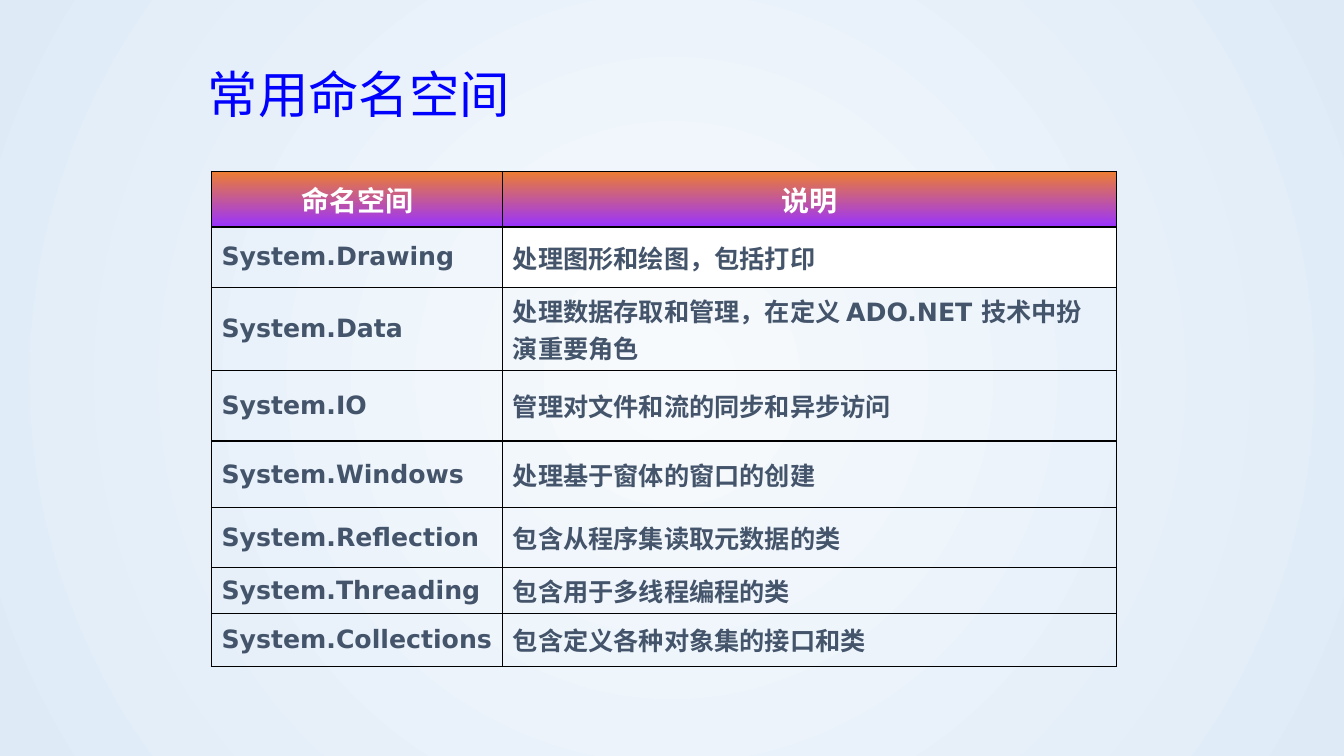
from pptx import Presentation
from pptx import util as u
from pptx.dml.color import RGBColor
from pptx.enum import text
from pptx.oxml import parse_xml
from pptx.oxml.ns import nsdecls, qn

BLUE, SLATE, WHITE, BLACK = "0000FF", "44546A", "FFFFFF", "000000"
BACKDROP = ("F7FAFD", "DEEBF7")
HEADER_FILL = ("ED7D31", "9933FF")

HEADINGS = ("命名空间", "说明")
NAMESPACES = [
    ("System.Drawing", "处理图形和绘图，包括打印"),
    ("System.Data", "处理数据存取和管理，在定义 ADO.NET 技术中扮演重要角色"),
    ("System.IO", "管理对文件和流的同步和异步访问"),
    ("System.Windows", "处理基于窗体的窗口的创建"),
    ("System.Reflection", "包含从程序集读取元数据的类"),
    ("System.Threading", "包含用于多线程编程的类"),
    ("System.Collections", "包含定义各种对象集的接口和类"),
]
COLUMN_WIDTHS = (7.34, 15.47)
ROW_HEIGHTS = (1.4, 1.52, 1.96, 1.78, 1.68, 1.5, 1.14, 1.32)


def color(hex_string):
    return RGBColor.from_string(hex_string)


class SlideBuilder:
    title_font = "Arial"
    table_font = "DejaVu Sans"

    def __init__(self, page):
        self.page = page

    def gradient(self, fill, colors, angle=270):
        fill.gradient()
        fill.gradient_angle = angle
        for stop, hex_string in zip(fill.gradient_stops, colors):
            stop.color.rgb = color(hex_string)

    def background(self, colors):
        self.gradient(self.page.background.fill, colors)
        linear = next(self.page.element.iter(qn("a:lin")))
        radial = parse_xml(
            f'<a:path {nsdecls("a")} path="circle">'
            '<a:fillToRect l="50000" t="50000" r="50000" b="50000"/></a:path>')
        linear.getparent().replace(linear, radial)

    def style(self, para, font, size, hex_string, bold=False):
        para.font.name = font
        para.font.size = u.Pt(size)
        para.font.bold = bold
        para.font.color.rgb = color(hex_string)

    def title(self, words, left, top, width, height):
        box = self.page.shapes.title
        box.left, box.top = u.Cm(left), u.Cm(top)
        box.width, box.height = u.Cm(width), u.Cm(height)
        frame = box.text_frame
        frame.text = words
        frame.auto_size = text.MSO_AUTO_SIZE.NONE
        frame.vertical_anchor = text.MSO_ANCHOR.MIDDLE
        para = frame.paragraphs[0]
        para.alignment = text.PP_ALIGN.LEFT
        para.line_spacing = 0.9
        self.style(para, self.title_font, 36, BLUE)

    def borders(self, cell):
        properties = cell._tc.get_or_add_tcPr()
        for index, side in enumerate("LRTB"):
            properties.insert(index, parse_xml(
                f'<a:ln{side} {nsdecls("a")} w="{u.Pt(1)}"><a:solidFill>'
                f'<a:srgbClr val="{BLACK}"/></a:solidFill></a:ln{side}>'))

    def cell(self, cell, words, header):
        cell.text = words
        cell.vertical_anchor = text.MSO_ANCHOR.MIDDLE
        para = cell.text_frame.paragraphs[0]
        if header:
            para.alignment = text.PP_ALIGN.CENTER
            self.style(para, self.table_font, 20, WHITE, bold=True)
            self.gradient(cell.fill, HEADER_FILL)
        else:
            self.style(para, self.table_font, 18, SLATE, bold=True)
            cell.fill.background()
        self.borders(cell)

    def table(self, rows, left, top, widths, heights):
        table = self.page.shapes.add_table(
            len(rows), len(widths), u.Cm(left), u.Cm(top),
            u.Cm(sum(widths)), u.Cm(sum(heights))).table
        table.horz_banding = False
        for column, width in zip(table.columns, widths):
            column.width = u.Cm(width)
        for r, (entries, height) in enumerate(zip(rows, heights)):
            table.rows[r].height = u.Cm(height)
            for c, words in enumerate(entries):
                self.cell(table.cell(r, c), words, header=r == 0)
        return table


def main():
    deck = Presentation()
    deck.slide_width, deck.slide_height = u.Cm(33.87), u.Cm(19.05)
    builder = SlideBuilder(deck.slides.add_slide(deck.slide_layouts[5]))

    # Backdrop and title
    builder.background(BACKDROP)
    builder.title("常用命名空间", 4.98, 1.35, 22.86, 2.21)

    # Namespace table, with one description on white
    table = builder.table([HEADINGS, *NAMESPACES], 5.33, 4.32,
                          COLUMN_WIDTHS, ROW_HEIGHTS)
    drawing_note = table.cell(1, 1)
    drawing_note.fill.solid()
    drawing_note.fill.fore_color.rgb = color(WHITE)

    deck.save("out.pptx")


if __name__ == "__main__":
    main()
